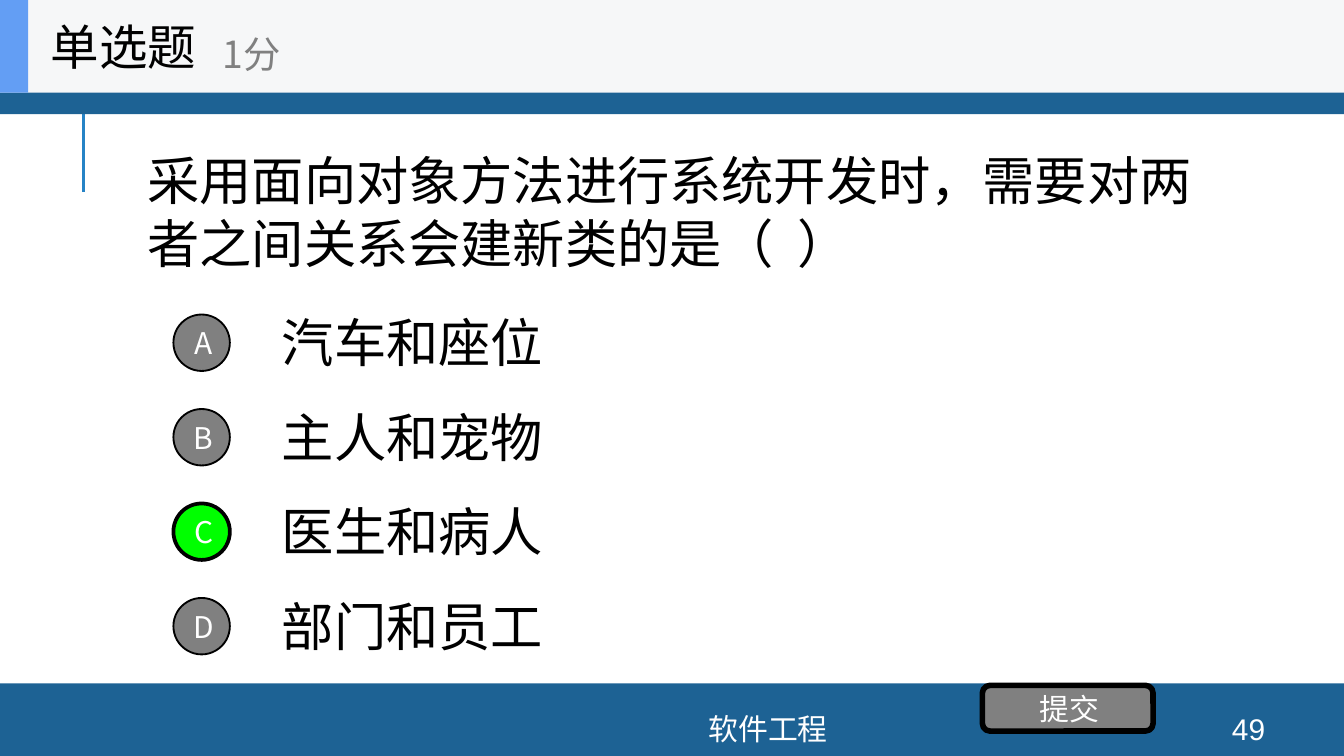
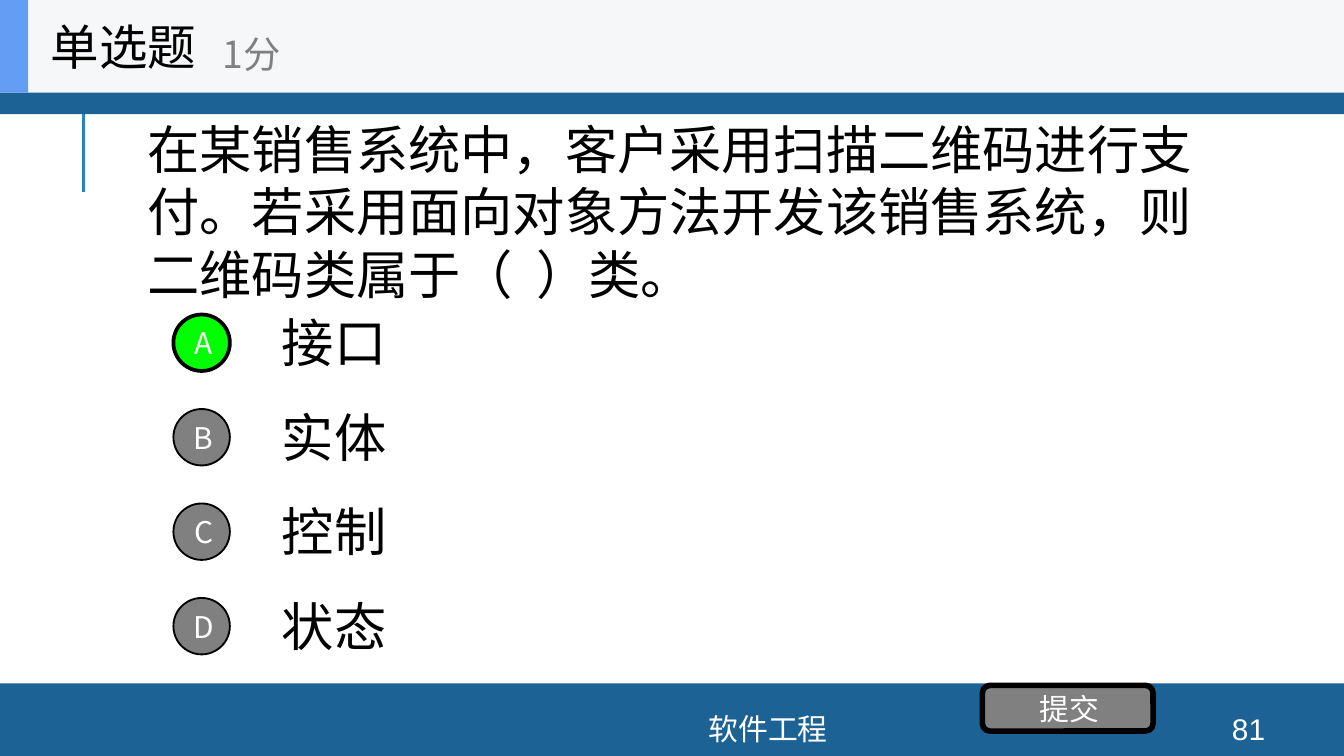
"""Build two single-choice quiz slides for a software engineering course."""
from dataclasses import dataclass

from lxml.etree import SubElement
from pptx import Presentation
from pptx.dml.color import RGBColor
from pptx.enum.shapes import MSO_CONNECTOR, MSO_SHAPE
from pptx.enum.text import MSO_ANCHOR, PP_ALIGN
from pptx.oxml.ns import qn
from pptx.presentation import Presentation as Deck
from pptx.shapes.autoshape import Shape
from pptx.shapes.shapetree import GroupShapes, SlideShapes
from pptx.slide import Slide
from pptx.util import Inches, Pt

WIDTH = 10
HEIGHT = WIDTH * 9 / 16
BAND, ACCENT_LINE = "1D6294", "2683C6"
HEADER, HEADER_ACCENT = "F6F7F8", "639EF4"
BLACK, WHITE, GREY, CORRECT = "000000", "FFFFFF", "808080", "00FF00"
LATIN, CJK = "Arial", "Noto Sans CJK SC"
FIRST_OPTION, OPTION_PITCH = 2.28, HEIGHT / 8

Canvas = SlideShapes | GroupShapes


@dataclass(frozen=True)
class Box:
    """Position and size in inches."""
    left: float
    top: float
    width: float
    height: float

    def emu(self) -> list[Inches]:
        """Return the four lengths for python-pptx."""
        return [Inches(v) for v in (self.left, self.top, self.width, self.height)]


@dataclass(frozen=True)
class Style:
    """Look of a text."""
    size: int
    font: str
    color: str
    align: PP_ALIGN = PP_ALIGN.LEFT


@dataclass(frozen=True)
class Question:
    """One question with its options, answer letter and page number."""
    stem: str
    options: tuple[str, ...]
    answer: str
    page: int


BODY = Style(28, LATIN, BLACK)
FOOTER = Style(16, LATIN, WHITE, PP_ALIGN.CENTER)
BUTTON = Style(16, CJK, WHITE, PP_ALIGN.CENTER)
HEADING = Style(26, CJK, BLACK)
SCORE = Style(20, CJK, GREY)

QUESTIONS = (
    Question(
        "采用面向对象方法进行系统开发时，需要对两者之间关系会建新类的是（  ）",
        ("汽车和座位", "主人和宠物", "医生和病人", "部门和员工"), "C", 49),
    Question(
        "在某销售系统中，客户采用扫描二维码进行支付。"
        "若采用面向对象方法开发该销售系统，则二维码类属于（  ）类。",
        ("接口", "实体", "控制", "状态"), "A", 81),
)


def rgb(color: str) -> RGBColor:
    """Turn a hex string into a colour."""
    return RGBColor.from_string(color)


def write(holder: Shape, text: str, style: Style) -> None:
    """Put styled, vertically centred text into a shape."""
    frame = holder.text_frame
    frame.text = text
    frame.word_wrap = True
    frame.vertical_anchor = MSO_ANCHOR.MIDDLE
    paragraph = frame.paragraphs[0]
    paragraph.alignment = style.align
    for run in paragraph.runs:
        run.font.size = Pt(style.size)
        run.font.name = style.font
        run.font.color.rgb = rgb(style.color)
        SubElement(run._r.get_or_add_rPr(), qn("a:ea"), typeface=CJK)


def add_text(canvas: Canvas, box: Box, text: str, style: Style) -> None:
    """Add a text box."""
    write(canvas.add_textbox(*box.emu()), text, style)


def add_panel(canvas: Canvas, box: Box, fill: str,
              kind: MSO_SHAPE = MSO_SHAPE.RECTANGLE, outline: float = 0) -> Shape:
    """Add a filled shape, with a black outline if a width is given."""
    panel = canvas.add_shape(kind, *box.emu())
    panel.shadow.inherit = False
    panel.fill.solid()
    panel.fill.fore_color.rgb = rgb(fill)
    if outline:
        panel.line.color.rgb = rgb(BLACK)
        panel.line.width = Pt(outline)
    else:
        panel.line.fill.background()
    return panel


def add_button(canvas: Canvas, box: Box, label: str, kind: MSO_SHAPE,
               fill: str, outline: float) -> None:
    """Add an outlined, labelled button."""
    button = add_panel(canvas, box, fill, kind, outline)
    frame = button.text_frame
    frame.margin_left, frame.margin_right = Inches(0.03), Inches(0)
    frame.margin_top = frame.margin_bottom = Inches(0)
    write(button, label, BUTTON)


def add_frame(slide: Slide, page: int) -> None:
    """Draw the bands, accent line and footer."""
    canvas = slide.shapes
    accent = canvas.add_connector(MSO_CONNECTOR.STRAIGHT, Inches(0.62), Inches(1.43),
                                  Inches(0.62), Inches(0.68))
    accent.line.color.rgb = rgb(ACCENT_LINE)
    accent.line.width = Pt(1.5)
    SubElement(accent._element.spPr, qn("a:effectLst"))
    add_panel(canvas, Box(0, HEIGHT - 0.54, WIDTH, 0.54), BAND)
    add_panel(canvas, Box(0, -0.03, WIDTH, 0.88), BAND)
    add_text(canvas, Box(2.61, 5.31, 6.21, 0.23), "软件工程", FOOTER)
    add_text(canvas, Box(8.89, 5.31, 0.8, 0.23), str(page), FOOTER)


def add_options(canvas: Canvas, question: Question) -> None:
    """Draw the option texts and their letter buttons."""
    tops = [FIRST_OPTION + i * OPTION_PITCH for i in range(len(question.options))]
    for top, option in zip(tops, question.options):
        add_text(canvas, Box(2, top, 7, 0.53), option, BODY)
    for top, letter in zip(tops, "ABCD"):
        fill, outline = (CORRECT, 2) if letter == question.answer else (GREY, 1)
        add_button(canvas, Box(1.29, top + 0.06, 0.42, 0.42), letter,
                   MSO_SHAPE.OVAL, fill, outline)


def add_header(slide: Slide) -> None:
    """Draw the grouped header with question type and score."""
    header = slide.shapes.add_group_shape().shapes
    add_panel(header, Box(0, 0, WIDTH, 0.69), HEADER)
    add_panel(header, Box(0, 0, 0.21, 0.69), HEADER_ACCENT)
    add_text(header, Box(0.28, 0, 2.08, 0.69), "单选题", HEADING)
    add_text(header, Box(1.56, 0.12, 2.5, 0.56), "1分", SCORE)


def add_question(deck: Deck, question: Question) -> None:
    """Add one question slide."""
    slide = deck.slides.add_slide(deck.slide_layouts[6])
    add_frame(slide, question.page)
    add_text(slide.shapes, Box(1, 0.69, 8, 1.76), question.stem, BODY)
    add_options(slide.shapes, question)
    add_button(slide.shapes, Box(7.31, 5.1, 1.27, 0.34), "提交",
               MSO_SHAPE.ROUNDED_RECTANGLE, GREY, 3)
    add_header(slide)


def main() -> None:
    """Build and save the deck."""
    deck = Presentation()
    deck.slide_width, deck.slide_height = Inches(WIDTH), Inches(HEIGHT)
    for question in QUESTIONS:
        add_question(deck, question)
    deck.save("out.pptx")


if __name__ == "__main__":
    main()
